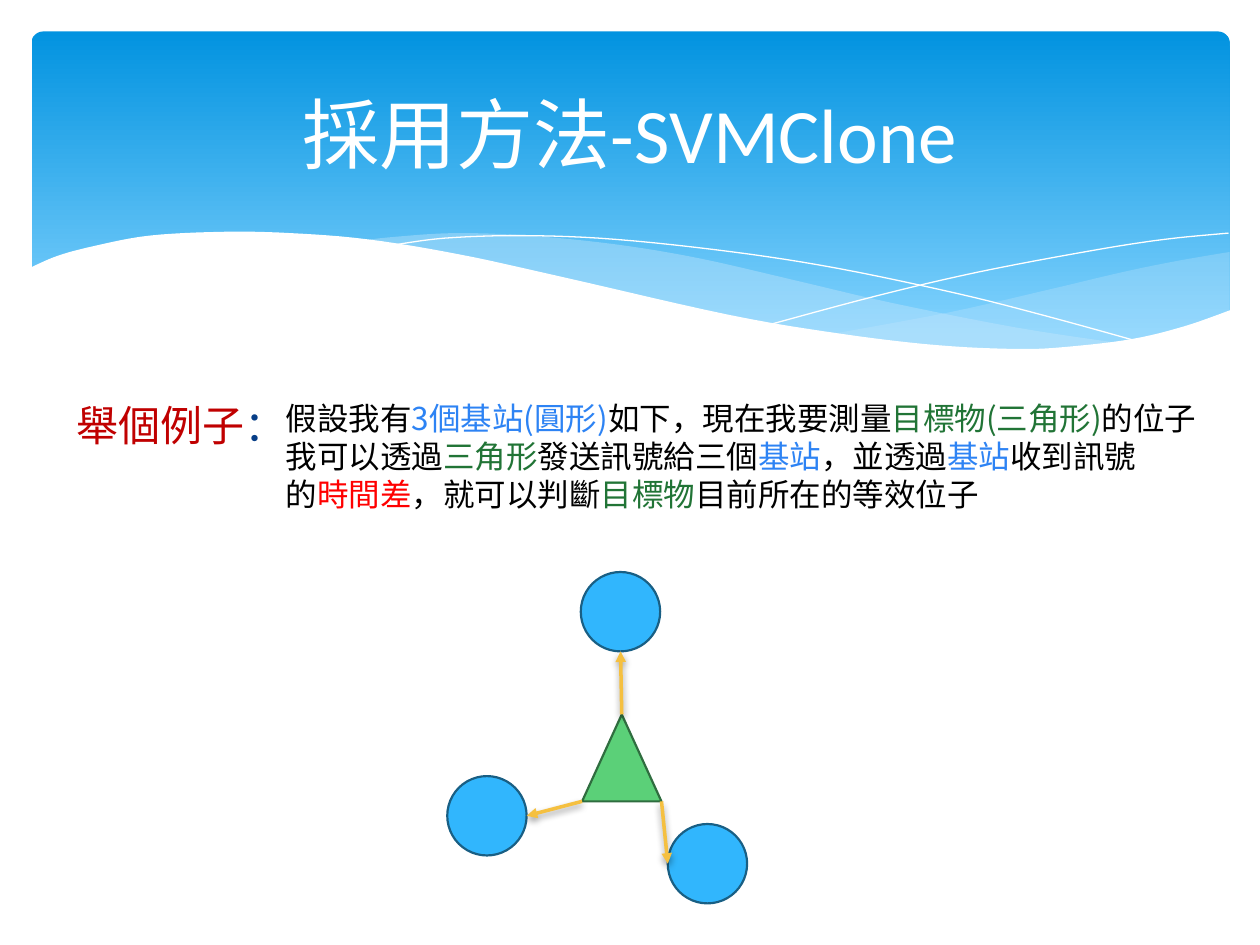
from lxml.etree import SubElement
from pptx import Presentation
from pptx.dml.color import RGBColor
from pptx.enum.shapes import MSO_CONNECTOR, MSO_SHAPE
from pptx.enum.text import MSO_ANCHOR, PP_ALIGN
from pptx.oxml.ns import qn
from pptx.util import Inches, Pt

WHITE = RGBColor(0xFF, 0xFF, 0xFF)
BLACK = RGBColor(0, 0, 0)
SKY_TOP = RGBColor(0x02, 0x93, 0xE0)
SKY_BOTTOM = RGBColor(0x83, 0xD3, 0xFE)
WAVE = RGBColor(0xC6, 0xE7, 0xFC)
DARK_RED = RGBColor(0xC0, 0, 0)
NAVY = RGBColor(0x07, 0x3E, 0x87)
BLUE = RGBColor(0x2D, 0x83, 0xF4)
GREEN = RGBColor(0x21, 0x74, 0x36)
RED = RGBColor(0xFF, 0, 0)
STATION_FILL = RGBColor(0x31, 0xB6, 0xFD)
STATION_LINE = RGBColor(0x19, 0x5F, 0x84)
TARGET_FILL = RGBColor(0x5B, 0xD0, 0x78)
TARGET_LINE = RGBColor(0x2F, 0x6D, 0x3F)
SIGNAL = RGBColor(0xF5, 0xC0, 0x40)

SIZE = 0.63
STATIONS = {"left": (3.55, 6.16), "right": (5.3, 6.54), "top": (4.61, 4.54)}
TARGET = (4.62, 5.67, SIZE, 0.69)

RIGHT_WAVE_TOP = [(9.76, 2), (9.35, 2.07), (8.91, 2.16), (8.32, 2.3),
                  (7.53, 2.48), (6.61, 2.65)]
RIGHT_WAVE_BOTTOM = [(6.61, 2.65), (7.19, 2.72), (7.69, 2.77), (8.14, 2.78),
                     (8.63, 2.75), (9.05, 2.69), (9.42, 2.59), (9.76, 2.47)]
LONG_WAVE_TOP = [(8.93, 2.73), (8.07, 2.6), (7.06, 2.4), (6.29, 2.22),
                 (5.55, 2.05), (4.89, 1.94), (4.2, 1.87), (3.61, 1.85),
                 (3.13, 1.88), (2.86, 1.91)]
LONG_WAVE_BOTTOM = [(2.86, 1.91), (3.62, 2.03), (4.49, 2.22), (5.3, 2.4),
                    (6.18, 2.58), (6.95, 2.7), (7.61, 2.77), (8.18, 2.78),
                    (8.93, 2.73)]
FALLING_LINE = [(3.09, 1.95), (3.53, 1.89), (4.16, 1.87), (4.89, 1.9),
                (5.82, 2), (6.65, 2.13), (7.6, 2.33), (8.31, 2.51),
                (9.07, 2.72)]
RISING_LINE = [(6.13, 2.57), (6.95, 2.35), (7.76, 2.16), (8.66, 1.99),
               (9.24, 1.9), (9.75, 1.85)]
PAGE_EDGE = [(9.77, 2.46), (9.4, 2.59), (8.99, 2.69), (8.5, 2.75),
             (8.09, 2.77), (7.44, 2.74), (6.68, 2.65), (5.79, 2.5),
             (4.47, 2.2), (3.65, 2.02), (2.92, 1.9), (2.3, 1.85),
             (1.77, 1.84), (1.19, 1.87), (0.76, 1.95), (0.46, 2.03),
             (0.23, 2.13)]


def smooth(knots, steps=6):
    """Return points of a Catmull-Rom curve through the knots."""
    padded = [knots[0], *knots, knots[-1]]
    points = [knots[0]]
    for a, b, c, d in zip(padded, padded[1:], padded[2:], padded[3:]):
        for step in range(1, steps + 1):
            t = step / steps
            points.append(tuple(
                (2 * q + (r - p) * t + (2 * p - 5 * q + 4 * r - s) * t ** 2
                 + (3 * q - p - 3 * r + s) * t ** 3) / 2
                for p, q, r, s in zip(a, b, c, d)))
    return points


def add_outline(slide, points, closed):
    points = [(Inches(x), Inches(y)) for x, y in points]
    builder = slide.shapes.build_freeform(*points[0])
    builder.add_line_segments(points[1:], close=closed)
    outline = builder.convert_to_shape()
    outline.shadow.inherit = False
    return outline


def add_area(slide, points, color, opacity=100):
    area = add_outline(slide, points, True)
    area.fill.solid()
    area.fill.fore_color.rgb = color
    area.line.fill.background()
    if opacity < 100:
        srgb = area.fill._xPr.find(".//" + qn("a:srgbClr"))
        SubElement(srgb, qn("a:alpha"), val=str(opacity * 1000))


def add_hairline(slide, knots):
    hairline = add_outline(slide, smooth(knots), False)
    hairline.fill.background()
    hairline.line.color.rgb = WHITE
    hairline.line.width = Pt(0)


def add_banner(slide):
    banner = slide.shapes.add_shape(
        MSO_SHAPE.ROUNDED_RECTANGLE,
        Inches(0.25), Inches(0.25), Inches(9.51), Inches(2.7))
    banner.adjustments[0] = 0.034
    banner.shadow.inherit = False
    banner.line.fill.background()
    banner.fill.gradient()
    banner.fill.gradient_angle = 270
    colors = ((0, SKY_TOP), (0.9, SKY_BOTTOM))
    for stop, (position, color) in zip(banner.fill.gradient_stops, colors):
        stop.position = position
        stop.color.rgb = color

    add_area(slide, smooth(RIGHT_WAVE_TOP) + smooth(RIGHT_WAVE_BOTTOM), WAVE, 29)
    add_area(slide, smooth(LONG_WAVE_TOP) + smooth(LONG_WAVE_BOTTOM), WAVE, 40)
    add_hairline(slide, FALLING_LINE)
    add_hairline(slide, RISING_LINE)
    add_area(slide, smooth(PAGE_EDGE) + [(0.23, 3.29), (9.77, 3.29)], WHITE)


def format_title(slide, text):
    title = slide.shapes.title
    title.left, title.top = Inches(0.5), Inches(0.37)
    title.width, title.height = Inches(9), Inches(1.37)
    title.text_frame.vertical_anchor = MSO_ANCHOR.MIDDLE
    heading = title.text_frame.paragraphs[0]
    heading.text = text
    heading.alignment = PP_ALIGN.CENTER
    heading.font.name, heading.font.size = "Calibri", Pt(44)
    heading.font.color.rgb = WHITE
    slide.shapes._spTree.append(title._element)  # in front of the banner


def add_text(slide, box, paragraphs, font, size, space_before=0):
    """Add a wrapped text box; each paragraph is a list of (text, colour)."""
    frame = slide.shapes.add_textbox(*map(Inches, box)).text_frame
    frame.word_wrap = True
    for number, parts in enumerate(paragraphs):
        paragraph = frame.add_paragraph() if number else frame.paragraphs[0]
        paragraph.font.name, paragraph.font.size = font, Pt(size)
        paragraph.space_before = Pt(space_before)
        for text, color in parts:
            run = paragraph.add_run()
            run.text = text
            run.font.color.rgb = color


def add_node(slide, kind, box, fill, line):
    node = slide.shapes.add_shape(kind, *map(Inches, box))
    node.shadow.inherit = False
    node.fill.solid()
    node.fill.fore_color.rgb = fill
    node.line.color.rgb = line
    node.line.width = Pt(1.25)


def add_signal(slide, start, end):
    """Draw an arrow with a soft shadow below it."""
    signal = slide.shapes.add_connector(
        MSO_CONNECTOR.STRAIGHT, *map(Inches, (*start, *end)))
    signal.line.color.rgb = SIGNAL
    signal.line.width = Pt(2)
    SubElement(signal.line._get_or_add_ln(), qn("a:tailEnd"), type="triangle")
    effects = SubElement(signal._element.spPr, qn("a:effectLst"))
    shadow = SubElement(effects, qn("a:outerShdw"), blurRad=str(Pt(4)),
                        dist=str(Pt(2)), dir="5400000", rotWithShape="0")
    black = SubElement(shadow, qn("a:srgbClr"), val="000000")
    SubElement(black, qn("a:alpha"), val="38000")


def add_diagram(slide):
    for corner in STATIONS.values():
        add_node(slide, MSO_SHAPE.FLOWCHART_CONNECTOR, (*corner, SIZE, SIZE),
                 STATION_FILL, STATION_LINE)
    add_node(slide, MSO_SHAPE.ISOSCELES_TRIANGLE, TARGET,
             TARGET_FILL, TARGET_LINE)

    x, y, width, height = TARGET
    half = SIZE / 2
    (left_x, left_y), (right_x, right_y), (top_x, top_y) = STATIONS.values()
    add_signal(slide, (x + width / 2, y), (top_x + half, top_y + SIZE))
    add_signal(slide, (x, y + height), (left_x + SIZE, left_y + half))
    add_signal(slide, (x + width, y + height), (right_x, right_y + half))


def main():
    prs = Presentation()
    prs.slide_width, prs.slide_height = Inches(10), Inches(7.5)
    slide = prs.slides.add_slide(prs.slide_layouts[5])
    add_banner(slide)
    add_text(slide, (0.51, 3.12, 8.98, 4.09),
             [[("舉個例子", DARK_RED), ("：", NAVY)]], "Calibri", 24, 4.8)
    format_title(slide, "採用方法-SVMClone")
    add_diagram(slide)
    add_text(slide, (2.17, 3.12, 7.49, 1.01), [
        [("假設我有", BLACK), ("3個基站(圓形)", BLUE),
         ("如下，現在我要測量", BLACK), ("目標物(三角形)", GREEN),
         ("的位子", BLACK)],
        [("我可以透過", BLACK), ("三角形", GREEN), ("發送訊號給三個", BLACK),
         ("基站", BLUE), ("，並透過", BLACK), ("基站", BLUE),
         ("收到訊號", BLACK)],
        [("的", BLACK), ("時間差", RED), ("，就可以判斷", BLACK),
         ("目標物", GREEN), ("目前所在的等效位子", BLACK)],
    ], "Noto Sans CJK SC", 18)
    prs.save("out.pptx")


if __name__ == "__main__":
    main()
